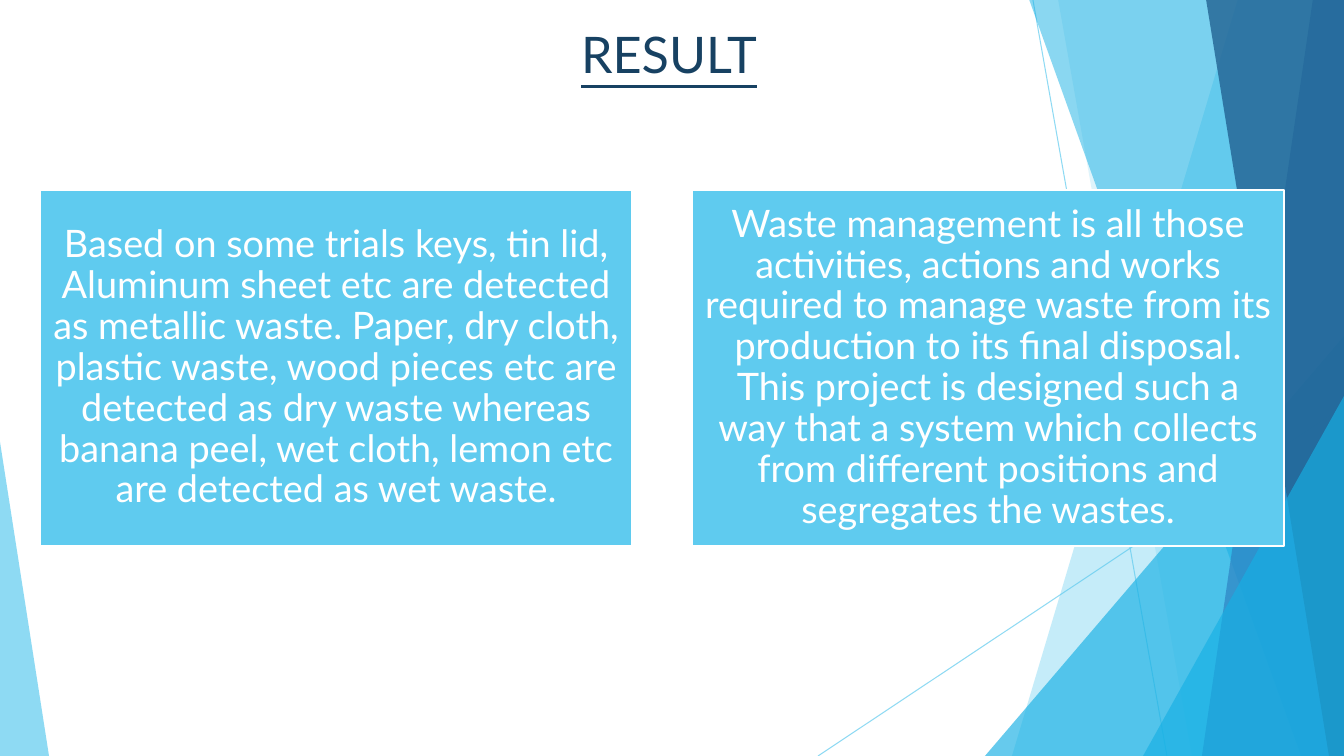
import pptx
import pptx.util
import pptx.dml.color
import pptx.enum.shapes
import pptx.enum.text
import pptx.oxml
import pptx.oxml.ns
import lxml.etree

WIDTH, HEIGHT = 1344, 756
SCALE = 12192000 / WIDTH
FONT = "Lato"

RGBColor = pptx.dml.color.RGBColor
WHITE = RGBColor(0xFF, 0xFF, 0xFF)
NAVY = RGBColor(0x17, 0x41, 0x62)
SKY = RGBColor(0x5F, 0xCB, 0xEF)
CYAN = RGBColor(0x17, 0xB0, 0xE4)
BLUE = RGBColor(0x2E, 0x83, 0xC3)
DEEP_BLUE = RGBColor(0x22, 0x62, 0x92)

RESULTS = [
    "Based on some trials keys, tin lid, Aluminum sheet etc are detected as metallic waste. "
    "Paper, dry cloth, plastic waste, wood pieces etc are detected as dry waste whereas "
    "banana peel, wet cloth, lemon etc are detected as wet waste.",
    "Waste management is all those activities, actions and works required to manage waste "
    "from its production to its final disposal. This project is designed such a way that a "
    "system which collects from different positions and segregates the wastes.",
]


def px(length):
    return pptx.util.Emu(round(length * SCALE))


def set_opacity(shape, percent):
    for color in shape.element.xpath("./p:spPr//a:srgbClr"):
        alpha = lxml.etree.SubElement(color, pptx.oxml.ns.qn("a:alpha"))
        alpha.set("val", str(percent * 1000))


def paint_facet(shape, color, opacity):
    shape.shadow.inherit = False
    shape.fill.solid()
    shape.fill.fore_color.rgb = color
    shape.line.fill.background()
    set_opacity(shape, opacity)


def add_ray(slide, start, end):
    ray = slide.shapes.add_connector(
        pptx.enum.shapes.MSO_CONNECTOR.STRAIGHT, *map(px, start + end))
    ray.line.color.rgb = SKY
    ray.line.width = pptx.util.Pt(0.75)
    set_opacity(ray, 70)
    lxml.etree.SubElement(ray.element.spPr, pptx.oxml.ns.qn("a:effectLst"))


def add_band(slide, top_left, bottom_left, color, opacity):
    builder = slide.shapes.build_freeform(top_left, -1, scale=SCALE)
    builder.add_line_segments(
        [(WIDTH, -1), (WIDTH, HEIGHT), (bottom_left, HEIGHT)], close=True)
    paint_facet(builder.convert_to_shape(), color, opacity)


def add_corner(slide, left, top, width, apex, color, opacity):
    corner = slide.shapes.add_shape(
        pptx.enum.shapes.MSO_SHAPE.ISOSCELES_TRIANGLE,
        px(left), px(top), px(width), px(HEIGHT - top))
    corner.adjustments[0] = apex
    paint_facet(corner, color, opacity)


def add_text(paragraph, text, size, color):
    run = paragraph.add_run()
    run.text = text
    run.font.name = FONT
    run.font.size = pptx.util.Pt(size)
    run.font.color.rgb = color
    return run


def add_title(slide, text):
    title = slide.shapes.title
    title.left, title.top, title.width, title.height = map(px, (571, 18, 203, 102))
    frame = title.text_frame
    frame.word_wrap = False
    frame.auto_size = pptx.enum.text.MSO_AUTO_SIZE.SHAPE_TO_FIT_TEXT
    frame.vertical_anchor = pptx.enum.text.MSO_ANCHOR.TOP
    paragraph = frame.paragraphs[0]
    paragraph.alignment = pptx.enum.text.PP_ALIGN.LEFT
    add_text(paragraph, text, 36, NAVY).font.underline = True


def add_panel(slide, left, text):
    panel = slide.shapes.add_shape(
        pptx.enum.shapes.MSO_SHAPE.RECTANGLE, px(left), px(190), px(592), px(356))
    panel.shadow.inherit = False
    panel.fill.solid()
    panel.fill.fore_color.rgb = SKY
    panel.line.color.rgb = WHITE
    panel.line.width = pptx.util.Pt(1.5)
    frame = panel.text_frame
    frame.word_wrap = True
    frame.vertical_anchor = pptx.enum.text.MSO_ANCHOR.MIDDLE
    frame.margin_left = frame.margin_right = px(11)
    frame.margin_top = frame.margin_bottom = px(11)
    paragraph = frame.paragraphs[0]
    paragraph.alignment = pptx.enum.text.PP_ALIGN.CENTER
    paragraph.line_spacing = 0.9
    add_text(paragraph, text, 27, WHITE)


def add_backdrop(slide):
    add_ray(slide, (1033, 0), (1167, HEIGHT))
    add_ray(slide, (WIDTH, 406), (818, HEIGHT))
    add_band(slide, 1238, 1012, SKY, 36)
    add_band(slide, 1058, 1192, SKY, 20)
    add_corner(slide, 985, 336, 359, 1, CYAN, 66)
    add_band(slide, 1029, 1301, CYAN, 50)
    add_band(slide, 1313, 1202, BLUE, 70)
    add_band(slide, 1206, 1329, DEEP_BLUE, 80)
    add_corner(slide, 1143, 396, 201, 1, CYAN, 66)
    add_corner(slide, 0, 442, 49, 0, SKY, 70)


def main():
    presentation = pptx.Presentation()
    presentation.slide_width = px(WIDTH)
    presentation.slide_height = px(HEIGHT)
    slide = presentation.slides.add_slide(presentation.slide_layouts[5])
    add_backdrop(slide)
    add_title(slide, "RESULT")
    for index, text in enumerate(RESULTS):
        add_panel(slide, 40 + index * 652, text)
    presentation.save("out.pptx")


if __name__ == "__main__":
    main()
